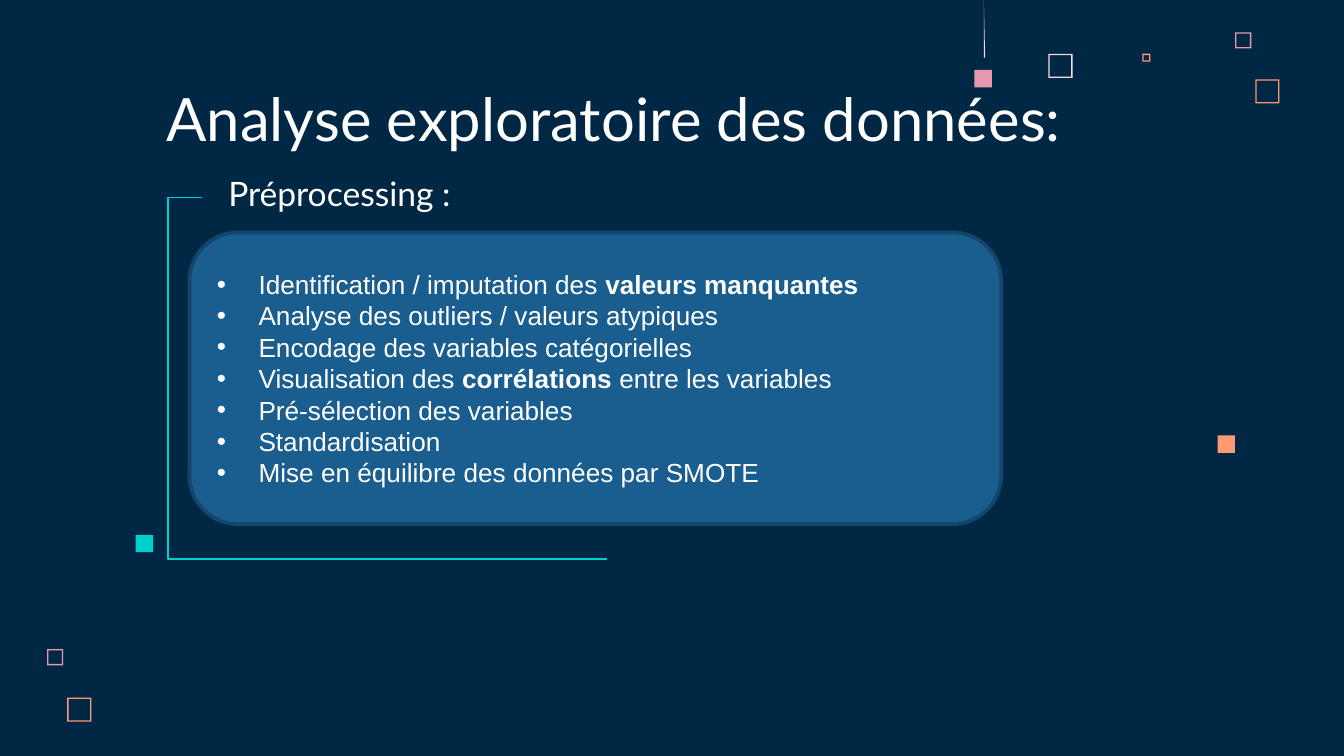
from lxml.etree import SubElement
from pptx import Presentation
from pptx.dml.color import RGBColor
from pptx.enum.shapes import MSO_CONNECTOR, MSO_SHAPE
from pptx.enum.text import MSO_ANCHOR, PP_ALIGN
from pptx.oxml.ns import qn
from pptx.util import Inches, Pt

NAVY, WHITE, BLUE, EDGE = "002845", "FFFFFF", "1A5E8F", "13466A"
TEAL, ORANGE, ROSE, PALE = "00CFCC", "FF9973", "E898AC", "FFD6E1"

FRAMES = [
    (7.8, 0.4, 0.18, PALE),
    (9.19, 0.24, 0.12, ROSE),
    (8.5, 0.4, 0.06, ORANGE),
    (9.34, 0.59, 0.18, ORANGE),
    (0.35, 4.83, 0.12, ROSE),
    (0.5, 5.19, 0.18, ORANGE),
]
SQUARES = [(7.25, 0.52, ROSE), (1.01, 3.98, TEAL), (9.06, 3.24, ORANGE)]

# Each step is a list of (text, bold) spans.
STEPS = [
    [("Identification / imputation des ", False), ("valeurs manquantes", True)],
    [("Analyse des outliers / valeurs atypiques", False)],
    [("Encodage des variables catégorielles", False)],
    [("Visualisation des ", False), ("corrélations", True),
     (" entre les variables", False)],
    [("Pré-sélection des variables", False)],
    [("Standardisation", False)],
    [("Mise en équilibre des données par SMOTE", False)],
]


def color(hex_string):
    return RGBColor.from_string(hex_string)


class SlideBuilder:
    def __init__(self, slide):
        self.slide = slide
        self.shapes = slide.shapes

    def background(self, fill):
        self.slide.background.fill.solid()
        self.slide.background.fill.fore_color.rgb = color(fill)

    def paint(self, shape, fill):
        shape.shadow.inherit = False
        shape.fill.solid()
        shape.fill.fore_color.rgb = color(fill)
        shape.line.fill.background()
        return shape

    def block(self, kind, left, top, width, height, fill):
        shape = self.shapes.add_shape(
            kind, Inches(left), Inches(top), Inches(width), Inches(height))
        return self.paint(shape, fill)

    def frame(self, left, top, side, fill):
        shape = self.block(MSO_SHAPE.FRAME, left, top, side, side, fill)
        shape.adjustments[0] = 0.01 / side

    def outline(self, points, fill):
        start, *rest = [(Inches(x), Inches(y)) for x, y in points]
        builder = self.shapes.build_freeform(*start)
        builder.add_line_segments(rest, close=True)
        self.paint(builder.convert_to_shape(), fill)

    def bracket(self, start, end, spine, stroke):
        """Elbow connector whose vertical part lies at x = spine."""
        line = self.shapes.add_connector(
            MSO_CONNECTOR.ELBOW, *[Inches(value) for value in start + end])
        line.line.color.rgb = color(stroke)
        line.line.width = Pt(0.75)
        properties = line._element.spPr
        SubElement(properties, qn("a:effectLst"))
        guides = properties.find(qn("a:prstGeom")).get_or_add_avLst()
        ratio = (spine - start[0]) / (end[0] - start[0])
        SubElement(guides, qn("a:gd"), name="adj1",
                   fmla=f"val {round(ratio * 100000)}")

    def span(self, para, text, size, font, bold=False):
        run = para.add_run()
        run.text = text
        run.font.size = Pt(size)
        run.font.name = font
        run.font.bold = bold
        run.font.color.rgb = color(WHITE)

    def heading(self, text, left, top, width, height, size):
        box = self.shapes.add_textbox(
            Inches(left), Inches(top), Inches(width), Inches(height))
        frame = box.text_frame
        frame.word_wrap = True
        frame.vertical_anchor = MSO_ANCHOR.BOTTOM
        frame.margin_left = frame.margin_right = Inches(0.1)
        frame.margin_top = frame.margin_bottom = Inches(0.1)
        self.span(frame.paragraphs[0], text, size, "Lato")

    def bullet(self, para):
        properties = para._p.get_or_add_pPr()
        properties.set("marL", str(Inches(0.31)))
        properties.set("indent", str(-Inches(0.31)))
        tint = SubElement(properties, qn("a:buClr"))
        SubElement(tint, qn("a:srgbClr"), val=WHITE)
        SubElement(properties, qn("a:buFont"), typeface="Arial")
        SubElement(properties, qn("a:buChar"), char="•")

    def card(self, items, left, top, width, height):
        shape = self.block(MSO_SHAPE.ROUNDED_RECTANGLE,
                           left, top, width, height, BLUE)
        shape.line.color.rgb = color(EDGE)
        shape.line.width = Pt(2)
        frame = shape.text_frame
        frame.word_wrap = True
        frame.vertical_anchor = MSO_ANCHOR.MIDDLE
        for index, spans in enumerate(items):
            para = frame.add_paragraph() if index else frame.paragraphs[0]
            para.alignment = PP_ALIGN.LEFT
            para.line_spacing = Pt(16.8)
            self.bullet(para)
            for text, bold in spans:
                self.span(para, text, 14, "Arial", bold)


def main():
    deck = Presentation()
    deck.slide_width = Inches(10)
    deck.slide_height = deck.slide_width * 9 // 16
    page = SlideBuilder(deck.slides.add_slide(deck.slide_layouts[6]))
    page.background(NAVY)
    for frame in FRAMES:
        page.frame(*frame)
    page.outline([(7.32, 0), (7.32, 0.43), (7.33, 0.43)], PALE)
    page.heading("Préprocessing :", 1.6, 1.24, 3.02, 0.45, 18)
    page.bracket((1.5, 1.47), (4.52, 4.16), 1.25, TEAL)
    for left, top, fill in SQUARES:
        page.block(MSO_SHAPE.RECTANGLE, left, top, 0.13, 0.13, fill)
    page.heading("Analyse exploratoire des données:", 1.14, 0.61, 7.41, 0.63, 32)
    page.card(STEPS, 1.41, 1.73, 6.04, 2.17)
    deck.save("out.pptx")


if __name__ == "__main__":
    main()
